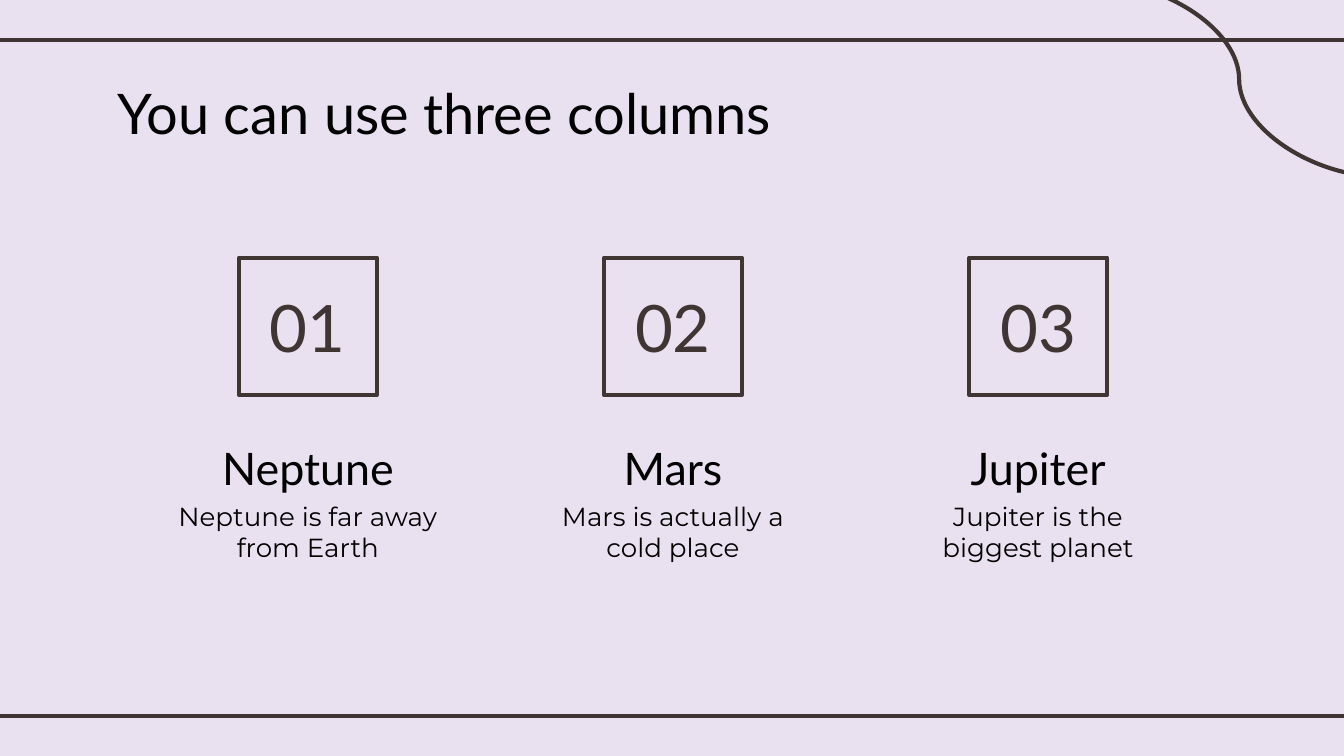
from dataclasses import dataclass

import pptx
import pptx.dml.color
import pptx.enum.shapes
import pptx.enum.text
import pptx.oxml
import pptx.slide
import pptx.util
from pptx.util import Cm

Color = pptx.dml.color.RGBColor
Align = pptx.enum.text.PP_ALIGN
Anchor = pptx.enum.text.MSO_ANCHOR
ConnectorType = pptx.enum.shapes.MSO_CONNECTOR


@dataclass(frozen=True)
class TextStyle:
    font: str
    size: float
    color: Color
    align: Align = Align.CENTER
    anchor: Anchor = Anchor.TOP


@dataclass(frozen=True)
class Theme:
    background: Color = Color.from_string("E9E0F0")
    ink: Color = Color.from_string("3F3533")
    black: Color = Color.from_string("000000")
    line_width: float = 2.25
    title: TextStyle = TextStyle("Lato", 30, black, Align.LEFT)
    number: TextStyle = TextStyle("Lato", 35, ink, anchor=Anchor.MIDDLE)
    heading: TextStyle = TextStyle("Lato", 24, black)
    body: TextStyle = TextStyle("Montserrat", 14, black)


@dataclass(frozen=True)
class Box:
    left: float
    top: float
    width: float
    height: float

    @classmethod
    def centered(cls, center: float, top: float, width: float, height: float) -> "Box":
        return cls(center - width / 2, top, width, height)

    def lengths(self) -> tuple[Cm, Cm, Cm, Cm]:
        return Cm(self.left), Cm(self.top), Cm(self.width), Cm(self.height)


@dataclass(frozen=True)
class Planet:
    name: str
    description: str


THEME = Theme()
SLIDE_WIDTH, SLIDE_HEIGHT = 25.4, 14.29
FIRST_CENTER, COLUMN_PITCH = 5.82, 6.9
PLANETS = [
    Planet("Neptune", "Neptune is far away from Earth"),
    Planet("Mars", "Mars is actually a cold place"),
    Planet("Jupiter", "Jupiter is the biggest planet"),
]


def add_line(slide: pptx.slide.Slide, kind: ConnectorType,
             start: tuple[float, float], end: tuple[float, float]) -> None:
    connector = slide.shapes.add_connector(
        kind, Cm(start[0]), Cm(start[1]), Cm(end[0]), Cm(end[1]))
    connector.line.color.rgb = THEME.ink
    connector.line.width = pptx.util.Pt(THEME.line_width)
    properties = connector._element.spPr
    properties.append(pptx.oxml.parse_xml(
        '<a:effectLst xmlns:a="http://schemas.openxmlformats.org/drawingml/2006/main"/>'))


def add_text(slide: pptx.slide.Slide, box: Box, text: str, style: TextStyle) -> None:
    frame = slide.shapes.add_textbox(*box.lengths()).text_frame
    frame.word_wrap = True
    frame.vertical_anchor = style.anchor
    frame.margin_left = frame.margin_right = Cm(0.25)
    frame.margin_top = frame.margin_bottom = Cm(0.25)
    paragraph = frame.paragraphs[0]
    paragraph.text = text
    paragraph.alignment = style.align
    paragraph.font.name = style.font
    paragraph.font.size = pptx.util.Pt(style.size)
    paragraph.font.color.rgb = style.color


def add_square(slide: pptx.slide.Slide, box: Box) -> None:
    square = slide.shapes.add_shape(
        pptx.enum.shapes.MSO_SHAPE.RECTANGLE, *box.lengths())
    square.shadow.inherit = False
    square.fill.solid()
    square.fill.fore_color.rgb = THEME.background
    square.line.color.rgb = THEME.ink
    square.line.width = pptx.util.Pt(THEME.line_width)


def add_column(slide: pptx.slide.Slide, index: int, planet: Planet) -> None:
    center = FIRST_CENTER + index * COLUMN_PITCH
    add_square(slide, Box.centered(center, 4.87, 2.6, 2.6))
    add_text(slide, Box.centered(center, 5.24, 2.82, 1.86), f"{index + 1:02}", THEME.number)
    add_text(slide, Box.centered(center, 8.08, 5.59, 1.37), planet.name, THEME.heading)
    add_text(slide, Box.centered(center, 9.2, 5.59, 1.6), planet.description, THEME.body)


def main() -> None:
    presentation = pptx.Presentation()
    presentation.slide_width = Cm(SLIDE_WIDTH)
    presentation.slide_height = Cm(SLIDE_HEIGHT)
    slide = presentation.slides.add_slide(presentation.slide_layouts[6])
    slide.background.fill.solid()
    slide.background.fill.fore_color.rgb = THEME.background

    for y in (0.75, 13.54):
        add_line(slide, ConnectorType.STRAIGHT, (-0.2, y), (SLIDE_WIDTH + 0.2, y))
    add_line(slide, ConnectorType.CURVE, (20.65, -0.35), (26.19, 3.35))

    add_text(slide, Box(1.98, 1.24, 15.32, 1.6), "You can use three columns", THEME.title)
    for index, planet in enumerate(PLANETS):
        add_column(slide, index, planet)
    presentation.save("out.pptx")


if __name__ == "__main__":
    main()
